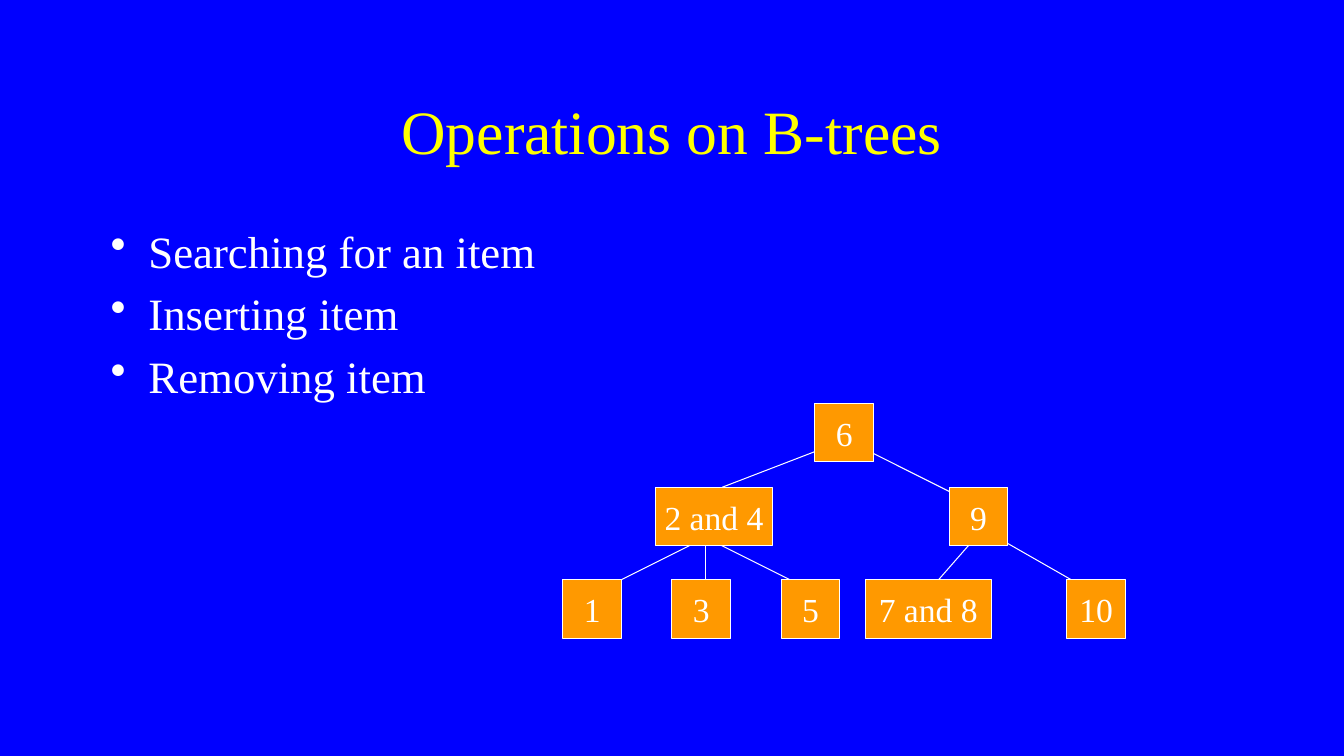
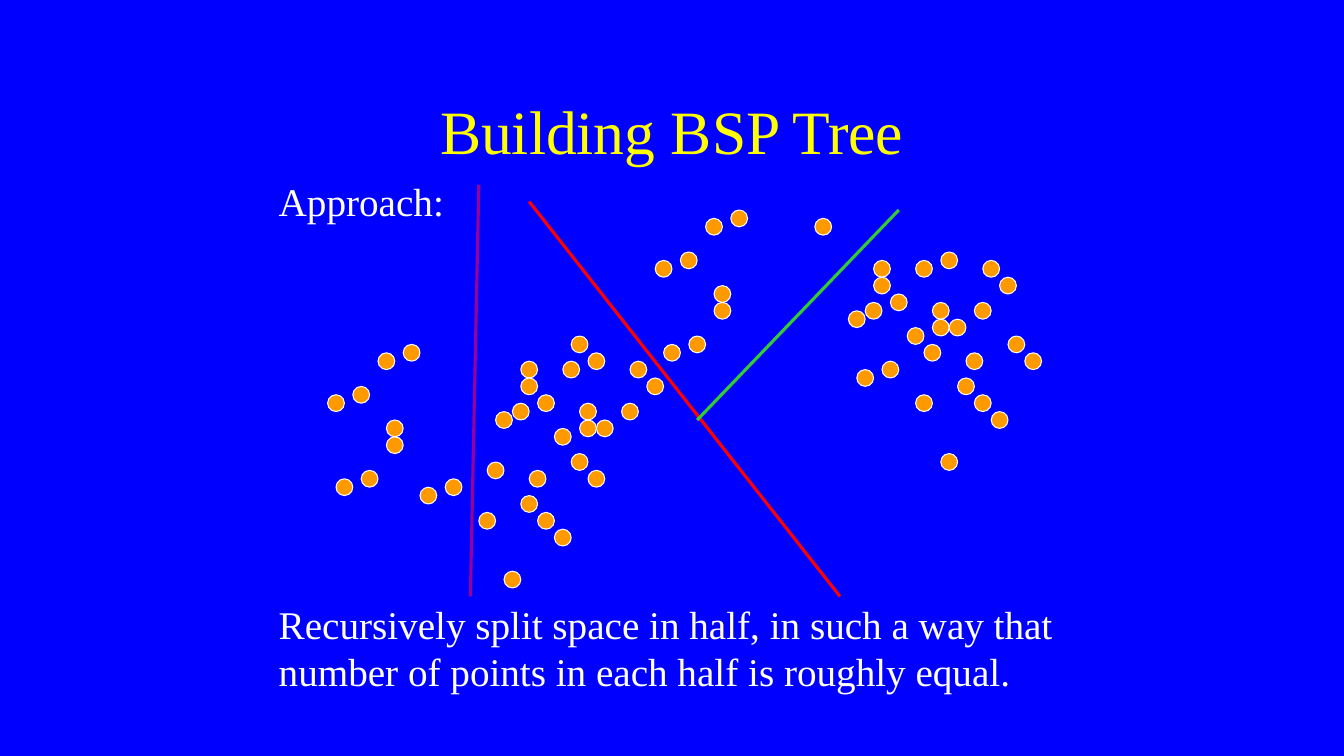
import dataclasses

import lxml.etree
import pptx
import pptx.dml.color
import pptx.enum.shapes
import pptx.enum.text
import pptx.oxml.ns
import pptx.util


@dataclasses.dataclass(frozen=True)
class Theme:
    """Colours, font and sizes shared by the slides."""

    background: str = "0000FF"
    title: str = "FFFF00"
    text: str = "FFFFFF"
    accent: str = "FF9900"
    first_split: str = "FF0000"
    right_split: str = "33CC33"
    left_split: str = "990099"
    font: str = "Times New Roman"
    title_size: int = 44
    list_size: int = 32
    body_size: int = 28
    node_size: int = 24
    line_height: float = 1.2
    thin: float = 0.75
    thick: float = 2.25


THEME = Theme()
TITLE_ONLY = 5
NODE_SIDE = 7
DOT_SIDE = 2

TREE_NODES = [
    ("6", 97, 48, NODE_SIDE),
    ("2 and 4", 78, 58, 14),
    ("9", 113, 58, NODE_SIDE),
    ("1", 67, 69, NODE_SIDE),
    ("3", 80, 69, NODE_SIDE),
    ("5", 93, 69, NODE_SIDE),
    ("7 and 8", 103, 69, 15),
    ("10", 127, 69, NODE_SIDE),
]

TREE_EDGES = [
    ((99, 53), (86, 58)),
    ((102, 53), (116, 60)),
    ((84, 64), (70, 71)),
    ((84, 63), (84, 71)),
    ((84, 64), (98, 71)),
    ((117, 63), (110, 71)),
    ((117, 63), (131, 71)),
]

LEFT_POINTS = [
    (48, 41), (45, 42), (62, 43), (59, 49), (46, 52), (68, 40), (70, 42),
    (67, 43), (69, 50), (66, 51), (63, 56), (75, 43), (77, 45), (74, 48),
    (66, 63), (68, 54), (70, 56), (42, 46), (39, 47), (46, 50), (43, 56),
    (40, 57), (62, 45), (64, 47), (61, 48), (53, 57), (50, 58), (57, 61),
    (69, 48), (71, 50), (58, 55), (60, 68), (62, 59), (64, 61),
]

RIGHT_POINTS = [
    (87, 25), (84, 26), (104, 31), (101, 37), (85, 36), (97, 26), (112, 30),
    (109, 31), (111, 38), (108, 39), (115, 42), (117, 31), (119, 33),
    (116, 36), (118, 49), (120, 40), (122, 42), (81, 30), (78, 31), (85, 34),
    (82, 40), (79, 41), (104, 33), (106, 35), (103, 36), (105, 43),
    (102, 44), (109, 47), (111, 36), (113, 38), (110, 41), (112, 54),
    (114, 45), (116, 47),
]

SPLITS = [
    ((63, 24), (100, 71), THEME.first_split),
    ((107, 25), (83, 50), THEME.right_split),
    ((57, 22), (56, 71), THEME.left_split),
]


def grid(units):
    """Convert grid units, twelve to the inch, to a length."""
    return pptx.util.Cm(units * 2.54 / 12)


def rgb(value):
    """Return a colour from its hexadecimal text."""
    return pptx.dml.color.RGBColor.from_string(value)


def format_para(para, size, color, align):
    """Set the font, colour, alignment and line height of a paragraph."""
    para.alignment = align
    para.line_spacing = pptx.util.Pt(size * THEME.line_height)
    for span in para.runs:
        span.font.name = THEME.font
        span.font.size = pptx.util.Pt(size)
        span.font.color.rgb = rgb(color)


def add_title(slide, text):
    """Place and format the title placeholder."""
    title = slide.shapes.title
    title.left, title.top = grid(12), grid(8)
    title.width, title.height = grid(136), grid(15)
    frame = title.text_frame
    frame.text = text
    frame.auto_size = pptx.enum.text.MSO_AUTO_SIZE.NONE
    frame.vertical_anchor = pptx.enum.text.MSO_ANCHOR.MIDDLE
    format_para(frame.paragraphs[0], THEME.title_size, THEME.title,
                pptx.enum.text.PP_ALIGN.CENTER)


def add_text(slide, left, top, width, height, lines, size):
    """Add a wrapped text box and return its paragraphs."""
    box = slide.shapes.add_textbox(grid(left), grid(top), grid(width), grid(height))
    frame = box.text_frame
    frame.word_wrap = True
    frame.text = "\n".join(lines)
    for para in frame.paragraphs:
        format_para(para, size, THEME.text, pptx.enum.text.PP_ALIGN.LEFT)
    return frame.paragraphs


def add_bullet(para):
    """Give a paragraph a hanging bullet and a gap below."""
    para.space_after = pptx.util.Pt(6.3)
    properties = para._p.get_or_add_pPr()
    indent = pptx.util.Cm(0.95)
    properties.set("marL", str(indent))
    properties.set("indent", str(-indent))
    bullet = lxml.etree.SubElement(properties, pptx.oxml.ns.qn("a:buChar"))
    bullet.set("char", "•")


def add_filled_shape(shapes, kind, left, top, width, height):
    """Add an accent shape with a thin outline."""
    shape = shapes.add_shape(kind, grid(left), grid(top), grid(width), grid(height))
    shape.shadow.inherit = False
    shape.fill.solid()
    shape.fill.fore_color.rgb = rgb(THEME.accent)
    shape.line.color.rgb = rgb(THEME.text)
    shape.line.width = pptx.util.Pt(THEME.thin)
    return shape


def add_node(slide, label, left, top, width):
    """Add a labelled tree node."""
    node = add_filled_shape(slide.shapes, pptx.enum.shapes.MSO_SHAPE.RECTANGLE,
                            left, top, width, NODE_SIDE)
    frame = node.text_frame
    frame.text = label
    frame.word_wrap = False
    frame.vertical_anchor = pptx.enum.text.MSO_ANCHOR.MIDDLE
    format_para(frame.paragraphs[0], THEME.node_size, THEME.text,
                pptx.enum.text.PP_ALIGN.CENTER)


def add_line(slide, start, end, color, width):
    """Add a straight line between two grid points."""
    line = slide.shapes.add_connector(
        pptx.enum.shapes.MSO_CONNECTOR.STRAIGHT,
        *(grid(units) for units in (*start, *end)))
    line.line.color.rgb = rgb(color)
    line.line.width = pptx.util.Pt(width)
    lxml.etree.SubElement(line._element.spPr, pptx.oxml.ns.qn("a:effectLst"))


def add_cluster(slide, points):
    """Add a group of dots."""
    group = slide.shapes.add_group_shape()
    for left, top in points:
        add_filled_shape(group.shapes, pptx.enum.shapes.MSO_SHAPE.OVAL,
                         left, top, DOT_SIDE, DOT_SIDE)


def add_slide(deck, title):
    """Add a titled slide."""
    slide = deck.slides.add_slide(deck.slide_layouts[TITLE_ONLY])
    add_title(slide, title)
    return slide


def build_operations(deck):
    """Build the slide on B-tree operations."""
    slide = add_slide(deck, "Operations on B-trees")
    lines = ["Searching for an item", "Inserting item", "Removing item"]
    for para in add_text(slide, 12, 26, 136, 54, lines, THEME.list_size):
        add_bullet(para)
    for start, end in TREE_EDGES:
        add_line(slide, start, end, THEME.text, THEME.thin)
    for node in TREE_NODES:
        add_node(slide, *node)


def build_partition(deck):
    """Build the slide on splitting space."""
    slide = add_slide(deck, "Building BSP Tree")
    for points in (LEFT_POINTS, RIGHT_POINTS):
        add_cluster(slide, points)
    lines = [
        "Approach:",
        "Recursively split space in half, in such a way that",
        "number of points in each half is roughly equal.",
    ]
    paras = add_text(slide, 32, 20.5, 98, 68.5, lines, THEME.body_size)
    paras[1].space_before = pptx.util.Pt(8 * THEME.body_size * THEME.line_height)
    for start, end, color in SPLITS:
        add_line(slide, start, end, color, THEME.thick)


def main():
    """Build and save the deck."""
    deck = pptx.Presentation()
    deck.slide_width, deck.slide_height = grid(160), grid(90)
    fill = deck.slide_master.background.fill
    fill.solid()
    fill.fore_color.rgb = rgb(THEME.background)
    build_operations(deck)
    build_partition(deck)
    deck.save("out.pptx")


if __name__ == "__main__":
    main()
